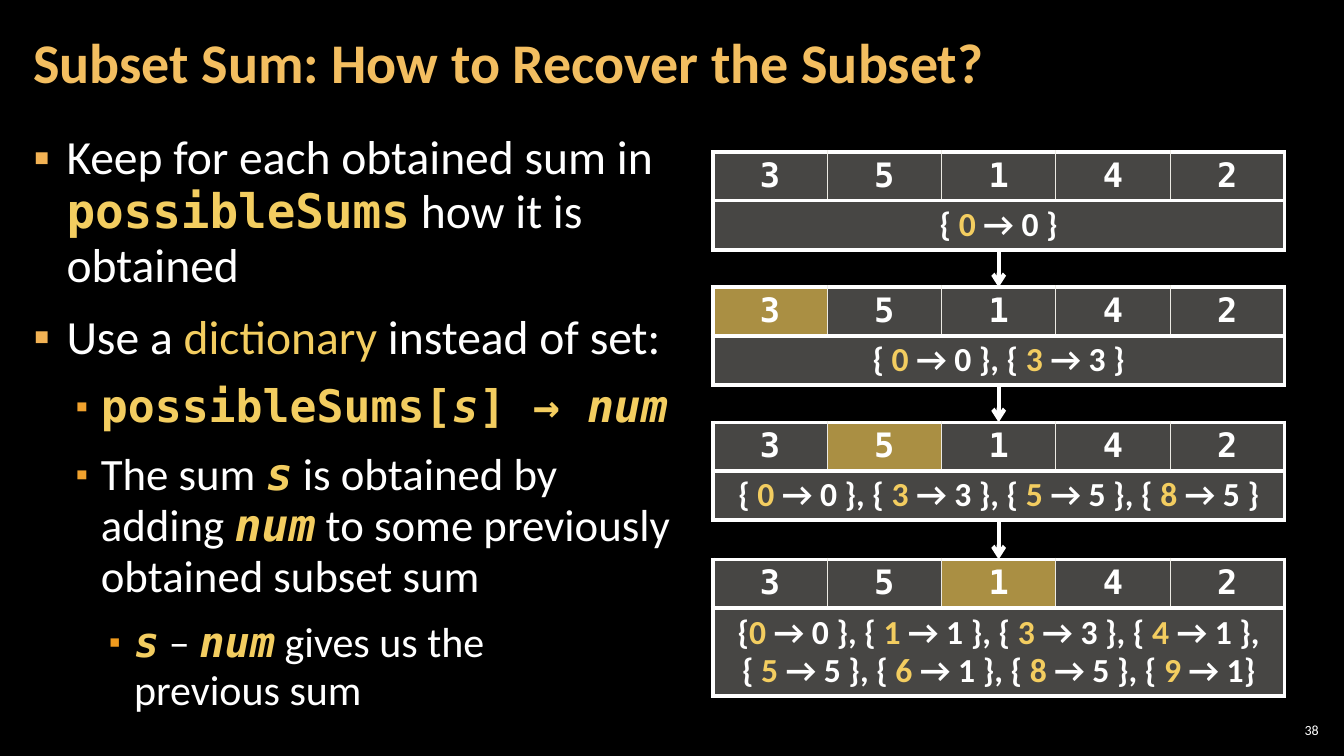
from dataclasses import dataclass

from lxml import etree
from pptx import Presentation
from pptx.dml.color import RGBColor
from pptx.enum import shapes, text
from pptx.oxml import ns
from pptx.util import Inches, Pt


@dataclass(frozen=True)
class Theme:
    background: str = "000000"
    white: str = "FFFFFF"
    title: str = "F3BE60"
    accent: str = "F3CD60"
    grid: str = "ECEAE3"
    bullets: tuple = ("F2B254", "F0A22E", "EF9A1D")
    sans: str = "Calibri"
    mono: str = "DejaVu Sans Mono"
    title_size: int = 40
    body_sizes: tuple = (34, 32, 30)
    table_size: int = 24
    number_size: int = 10


theme = Theme()

# Each style is font, colour, bold, italic
PLAIN = (theme.sans, theme.white, False, False)
KEYWORD = (theme.sans, theme.accent, False, False)
CODE = (theme.mono, theme.accent, True, False)
VARIABLE = (theme.mono, theme.accent, True, True)
TITLE = (theme.sans, theme.title, True, False)
DIGIT = (theme.mono, theme.white, True, False)
PAIR = (theme.sans, theme.white, True, False)
KEY = (theme.sans, theme.accent, True, False)


def add_runs(paragraph, segments, size):
    """Append (text, style) segments; a newline becomes a line break."""
    for words, (font, color, bold, italic) in segments:
        for index, line in enumerate(words.split("\n")):
            if index:
                paragraph.add_line_break()
            run = paragraph.add_run()
            run.text = line
            run.font.name = font
            run.font.size = Pt(size)
            run.font.bold = bold
            run.font.italic = italic
            run.font.color.rgb = RGBColor.from_string(color)


def add_table_row(top, height, cells):
    """Add a one-row table from (segments, highlighted) cells."""
    frame = slide.shapes.add_table(1, len(cells), Inches(TABLE_LEFT), Inches(top),
                                   Inches(TABLE_WIDTH), Inches(height))
    table = frame.table
    table.first_row = table.horz_banding = False
    for column, (segments, highlighted) in enumerate(cells):
        cell = table.cell(0, column)
        cell.vertical_anchor = text.MSO_ANCHOR.MIDDLE
        paragraph = cell.text_frame.paragraphs[0]
        paragraph.alignment = text.PP_ALIGN.CENTER
        paragraph.line_spacing = 0.95
        add_runs(paragraph, segments, theme.table_size)

        cell.fill.solid()
        cell.fill.fore_color.rgb = RGBColor.from_string(
            theme.accent if highlighted else theme.grid)
        properties = cell._tc.get_or_add_tcPr()
        color = properties.find(".//" + ns.qn("a:srgbClr"))
        etree.SubElement(color, ns.qn("a:alpha"), val="70000" if highlighted else "30000")

        outer = {"lnL": column == 0, "lnR": column == len(cells) - 1,
                 "lnT": True, "lnB": True}
        for position, (side, thick) in enumerate(outer.items()):
            border = etree.Element(ns.qn(f"a:{side}"), w=str(Pt(3 if thick else 1)))
            fill = etree.SubElement(border, ns.qn("a:solidFill"))
            etree.SubElement(fill, ns.qn("a:srgbClr"),
                             val=theme.white if thick else theme.grid)
            properties.insert(position, border)


presentation = Presentation()
presentation.slide_width = Inches(13.33)
presentation.slide_height = Inches(7.5)
slide = presentation.slides.add_slide(presentation.slide_layouts[1])
slide.background.fill.solid()
slide.background.fill.fore_color.rgb = RGBColor.from_string(theme.background)

# Title and body placeholders
title, body = slide.shapes.title, slide.placeholders[1]
for shape, top, width, height, anchor in (
    (title, 0.04, 10.47, 1.21, text.MSO_ANCHOR.MIDDLE),
    (body, 1.26, 6.71, 6.09, text.MSO_ANCHOR.TOP),
):
    shape.left, shape.top = Inches(0.21), Inches(top)
    shape.width, shape.height = Inches(width), Inches(height)
    frame = shape.text_frame
    frame.word_wrap = True
    frame.auto_size = text.MSO_AUTO_SIZE.NONE
    frame.vertical_anchor = anchor
    frame.margin_left = frame.margin_right = Inches(0.12)
    frame.margin_top = frame.margin_bottom = Inches(0.04)

heading = title.text_frame.paragraphs[0]
heading.alignment = text.PP_ALIGN.LEFT
heading.line_spacing = 0.9
add_runs(heading, [("Subset Sum: How to Recover the Subset?", TITLE)], theme.title_size)

points = [
    (0, [("Keep for each obtained sum in ", PLAIN), ("possibleSums", CODE),
         (" how it is obtained", PLAIN)]),
    (0, [("Use a ", PLAIN), ("dictionary", KEYWORD), (" instead of set:", PLAIN)]),
    (1, [("possibleSums[", CODE), ("s", VARIABLE), ("] → ", CODE), ("num", VARIABLE)]),
    (1, [("The sum ", PLAIN), ("s", VARIABLE), (" is obtained by adding ", PLAIN),
         ("num", VARIABLE), (" to some previously obtained subset sum", PLAIN)]),
    (2, [("s", VARIABLE), (" – ", PLAIN), ("num", VARIABLE),
         (" gives us the\nprevious sum", PLAIN)]),
]
INDENTS = [(0.33, -0.33), (0.67, -0.25), (1, -0.25)]
for index, (level, segments) in enumerate(points):
    paragraph = body.text_frame.add_paragraph() if index else body.text_frame.paragraphs[0]
    paragraph.level = level
    properties = paragraph._p.get_or_add_pPr()
    margin, indent = INDENTS[level]
    properties.set("marL", str(Inches(margin)))
    properties.set("indent", str(Inches(indent)))
    bullet_color = etree.SubElement(properties, ns.qn("a:buClr"))
    etree.SubElement(bullet_color, ns.qn("a:srgbClr"), val=theme.bullets[level])
    etree.SubElement(properties, ns.qn("a:buSzPct"), val="80000" if level else "100000")
    etree.SubElement(properties, ns.qn("a:buChar"), char="▪")
    paragraph.line_spacing = 0.95
    paragraph.space_before = Pt(6 if index else 0)
    paragraph.space_after = Pt(6)
    add_runs(paragraph, segments, theme.body_sizes[level])

# Steps: top, height of the sums row, highlighted number, sums with keys between bars
TABLE_LEFT, TABLE_WIDTH, ROW_HEIGHT = 7.07, 5.67, 0.48
NUMBERS = [3, 5, 1, 4, 2]
steps = [
    (1.51, 0.48, None, "{ |0 |→ 0 }"),
    (2.85, 0.48, 3, "{ |0 |→ 0 }, { |3 |→ 3 }"),
    (4.19, 0.48, 5, "{ |0 |→ 0 }, { |3 |→ 3 }, { |5 |→ 5 }, { |8 |→ 5 }"),
    (5.55, 0.86, 1, "{|0 |→ 0 }, { |1 |→ 1 }, { |3 |→ 3 }, { |4 |→ 1 },\n"
                    "{ |5 |→ 5 }, { |6 |→ 1 }, { |8 |→ 5 }, { |9 |→ 1}"),
]
for top, sums_height, current, sums in steps:
    add_table_row(top, ROW_HEIGHT,
                  [([(str(number), DIGIT)], number == current) for number in NUMBERS])
    segments = [(part, KEY if index % 2 else PAIR)
                for index, part in enumerate(sums.split("|"))]
    add_table_row(top + ROW_HEIGHT, sums_height, [(segments, False)])

# Arrows from each step to the next
center = Inches(TABLE_LEFT + TABLE_WIDTH / 2)
for (top, sums_height, *_), (next_top, *_) in zip(steps, steps[1:]):
    arrow = slide.shapes.add_connector(shapes.MSO_CONNECTOR.STRAIGHT, center,
                                       Inches(top + ROW_HEIGHT + sums_height),
                                       center, Inches(next_top))
    arrow.line.color.rgb = RGBColor.from_string(theme.white)
    arrow.line.width = Pt(3)
    etree.SubElement(arrow.line._get_or_add_ln(), ns.qn("a:tailEnd"), type="arrow")
    etree.SubElement(arrow._element.spPr, ns.qn("a:effectLst"))

# Slide number
number_box = slide.shapes.add_textbox(Inches(12.65), Inches(7.14), Inches(0.47), Inches(0.21))
frame = number_box.text_frame
frame.word_wrap = True
frame.vertical_anchor = text.MSO_ANCHOR.MIDDLE
frame.margin_left = frame.margin_right = Inches(0.04)
frame.margin_top = frame.margin_bottom = Inches(0.04)
frame.paragraphs[0].alignment = text.PP_ALIGN.RIGHT
add_runs(frame.paragraphs[0], [("38", PLAIN)], theme.number_size)

presentation.save("out.pptx")
